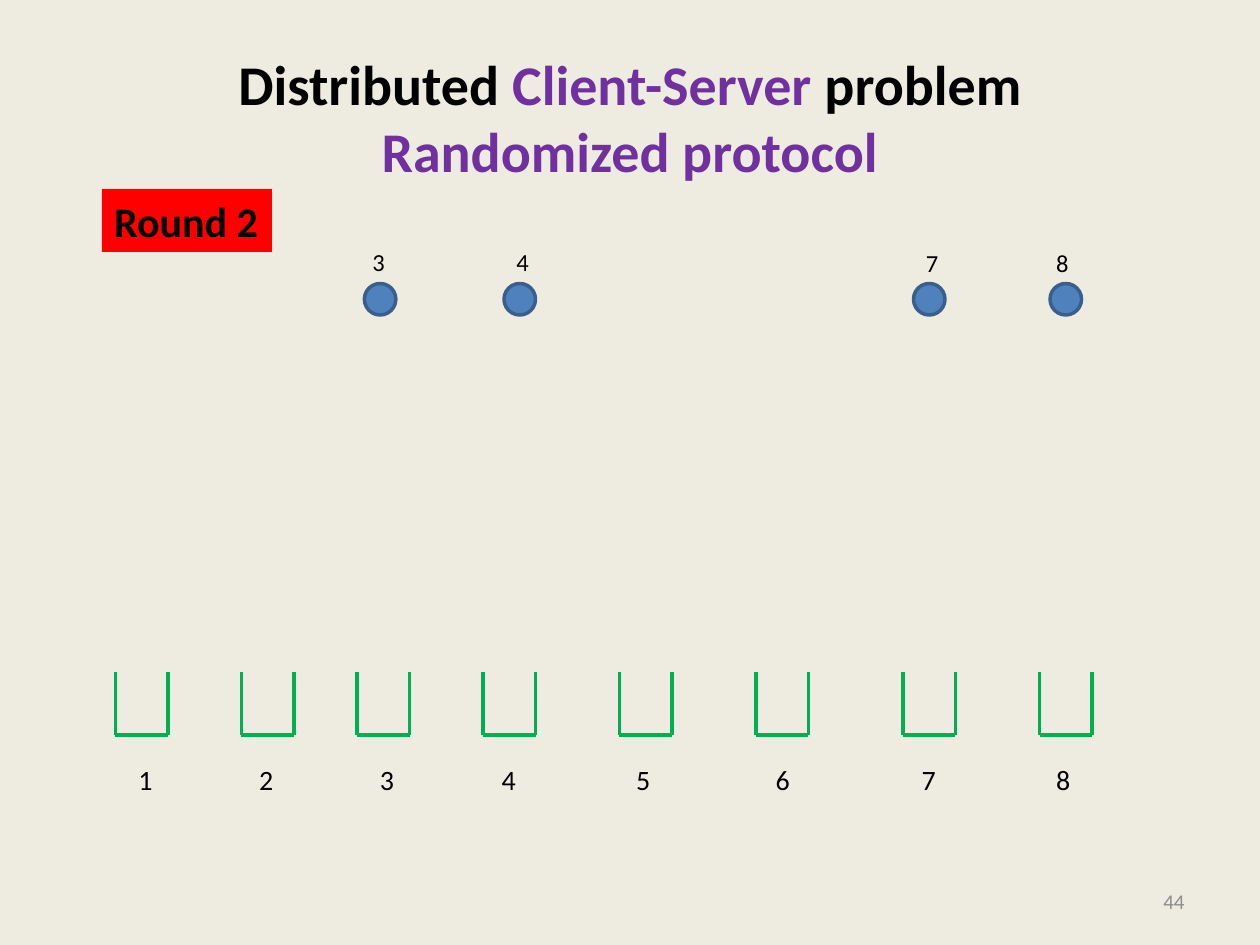
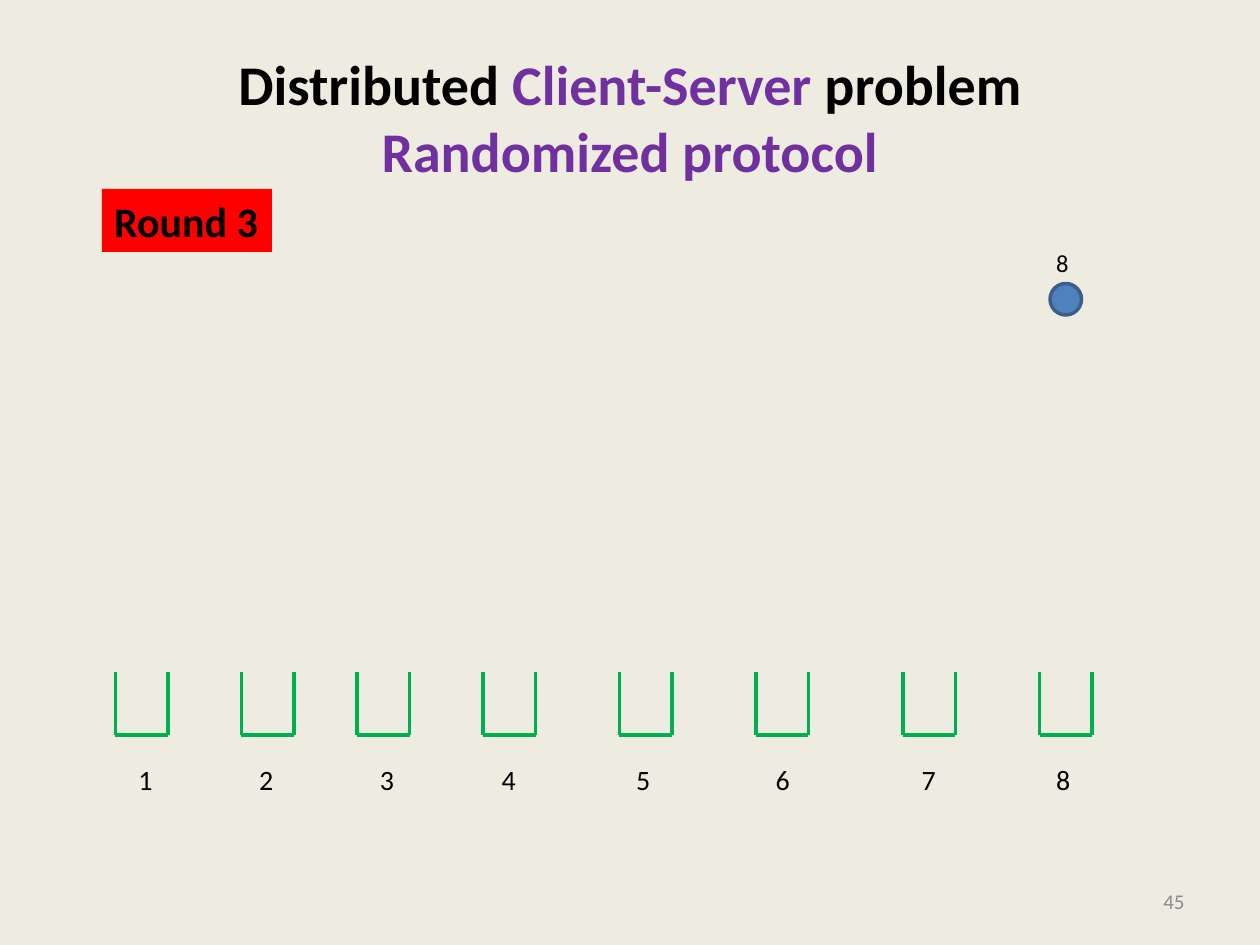
from pptx import Presentation
from pptx.dml.color import RGBColor
from pptx.enum.shapes import MSO_CONNECTOR, MSO_SHAPE
from pptx.enum.text import MSO_ANCHOR, MSO_AUTO_SIZE, PP_ALIGN
from pptx.oxml.ns import qn
from pptx.util import Inches, Pt
from lxml.etree import SubElement

COLS, ROWS = 120, 90
WIDTH, HEIGHT = Inches(10), Inches(7.5)
INK, PURPLE, GREY = "000000", "7030A0", "8C8C8C"
PAPER, GREEN, RED = "EEECE1", "00B050", "FF0000"
BLUE, NAVY = "4F81BD", "3A5F8C"

TITLE = [
    [("Distributed ", INK), ("Client-Server", PURPLE), (" problem", INK)],
    [("Randomized protocol", PURPLE)],
]
BINS = [11, 23, 34, 46, 59, 72, 86, 99]
BIN_TOP, BIN_END, BIN_SPAN = 64, 70, 5
TABS = [11.5, 23, 34.6, 47.4, 60.7, 74.6, 87.4]
# Client: ball column, label column, label row
BALLS = {
    3: (34.7, 34.3, 22.9),
    4: (48, 48, 22.9),
    7: (87, 87, 23),
    8: (100, 99.4, 23),
}
# Round, slide number, clients still unserved
ROUNDS = [(2, 44, [3, 4, 7, 8]), (3, 45, [8])]


def hue(code):
    return RGBColor.from_string(code)


def across(col):
    return round(WIDTH * col / COLS)


def down(row):
    return round(HEIGHT * row / ROWS)


def area(col, row, wide, high):
    return across(col), down(row), across(wide), down(high)


class Deck:
    def __init__(self):
        self.prs = Presentation()
        self.prs.slide_width, self.prs.slide_height = WIDTH, HEIGHT
        fill = self.prs.slide_master.background.fill
        fill.solid()
        fill.fore_color.rgb = hue(PAPER)
        self.slide = None

    def start(self):
        self.slide = self.prs.slides.add_slide(self.prs.slide_layouts[5])

    def group(self):
        return self.slide.shapes.add_group_shape().shapes

    def style(self, run, size, code=INK, bold=False):
        look = {"name": "Calibri", "size": Pt(size), "bold": bold}
        for key, value in look.items():
            setattr(run.font, key, value)
        run.font.color.rgb = hue(code)

    def put(self, shape, text, size, code=INK, bold=False, wrap=False,
            anchor=MSO_ANCHOR.TOP, align=PP_ALIGN.LEFT):
        frame = shape.text_frame
        look = {"word_wrap": wrap, "vertical_anchor": anchor}
        for key, value in look.items():
            setattr(frame, key, value)
        par = frame.paragraphs[0]
        par.alignment = align
        run = par.add_run()
        run.text = text
        self.style(run, size, code, bold)
        return par

    def title(self, lines):
        shape = self.slide.shapes.title
        sides = ("left", "top", "width", "height")
        for side, value in zip(sides, area(6, 3.6, 108, 15)):
            setattr(shape, side, value)
        frame = shape.text_frame
        frame.auto_size = MSO_AUTO_SIZE.NONE
        frame.vertical_anchor = MSO_ANCHOR.MIDDLE
        par = frame.paragraphs[0]
        par.alignment = PP_ALIGN.CENTER
        for rank, line in enumerate(lines):
            if rank:
                par.add_line_break()
            for text, code in line:
                run = par.add_run()
                run.text = text
                self.style(run, 32, code, True)

    def shape(self, home, kind, box, code, edge=None):
        item = home.add_shape(kind, *area(*box))
        item.shadow.inherit = False
        item.fill.solid()
        item.fill.fore_color.rgb = hue(code)
        if edge:
            item.line.color.rgb = hue(edge)
            item.line.width = Pt(2)
        else:
            item.line.fill.background()
        return item

    def label(self, home, box, text, size, **look):
        return self.put(home.add_textbox(*area(*box)), text, size, **look)

    def line(self, home, start, end):
        item = home.add_connector(
            MSO_CONNECTOR.STRAIGHT,
            across(start[0]), down(start[1]), across(end[0]), down(end[1]))
        item.line.color.rgb = hue(GREEN)
        item.line.width = Pt(2.25)
        SubElement(item._element.spPr, qn("a:effectLst"))

    def number(self, value):
        self.label(self.slide.shapes, (86, 83.4, 28, 4.8), str(value), 12,
                   code=GREY, wrap=True, anchor=MSO_ANCHOR.MIDDLE,
                   align=PP_ALIGN.RIGHT)

    def ball(self, client):
        col, side, row = BALLS[client]
        home = self.group()
        self.shape(home, MSO_SHAPE.OVAL, (col, 27, 3, 3), BLUE, NAVY)
        self.label(home, (side, row, 3.6, 4.1), str(client), 14)

    def bins(self):
        """Draw the row of servers with their numbers on tab stops."""
        home = self.group()
        for left in BINS:
            right = left + BIN_SPAN
            for col in (left, right):
                self.line(home, (col, BIN_TOP), (col, BIN_END))
            self.line(home, (left, BIN_END), (right, BIN_END))
        names = "\t".join(str(n + 1) for n in range(len(BINS)))
        par = self.label(home, (12, 72, 92, 4.4), names, 16, wrap=True)
        stops = SubElement(par._p.get_or_add_pPr(), qn("a:tabLst"))
        for stop in TABS:
            SubElement(stops, qn("a:tab"), pos=str(across(stop)), algn="l")

    def badge(self, text):
        item = self.shape(self.slide.shapes, MSO_SHAPE.RECTANGLE,
                          (9.7, 18, 16.2, 6), RED)
        self.put(item, text, 24, bold=True)


def main():
    deck = Deck()
    for turn, page, clients in ROUNDS:
        deck.start()
        deck.title(TITLE)
        deck.number(page)
        for client in clients:
            deck.ball(client)
        deck.bins()
        deck.badge(f"Round {turn}")
    deck.prs.save("out.pptx")


if __name__ == "__main__":
    main()
